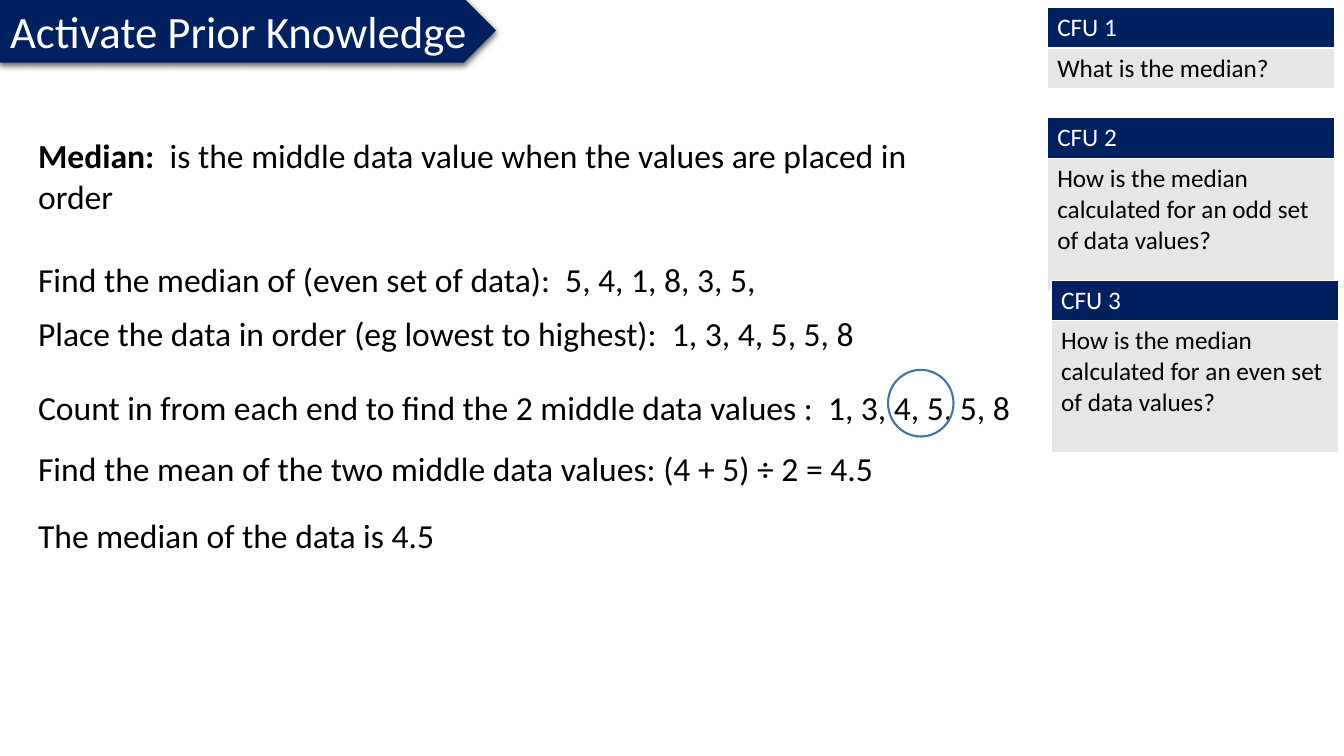
from dataclasses import dataclass

from lxml import etree
from pptx import Presentation
from pptx.dml.color import RGBColor
from pptx.enum.shapes import MSO_SHAPE
from pptx.enum.text import MSO_ANCHOR, MSO_AUTO_SIZE, PP_ALIGN
from pptx.oxml.ns import qn
from pptx.util import Cm, Pt

PENTAGON, OVAL = MSO_SHAPE.PENTAGON, MSO_SHAPE.OVAL
LEFT, MIDDLE = PP_ALIGN.LEFT, MSO_ANCHOR.MIDDLE
NO_FIT, GROW = MSO_AUTO_SIZE.NONE, MSO_AUTO_SIZE.SHAPE_TO_FIT_TEXT
TITLE_ONLY = 5


@dataclass(frozen=True)
class Theme:
    font: str = "Calibri"
    navy: RGBColor = RGBColor(0x00, 0x20, 0x60)
    grey: RGBColor = RGBColor(0xE7, 0xE6, 0xE6)
    ring: RGBColor = RGBColor(0x43, 0x73, 0x9E)
    white: RGBColor = RGBColor(0xFF, 0xFF, 0xFF)
    black: RGBColor = RGBColor(0x00, 0x00, 0x00)
    title_size: Pt = Pt(32)
    body_size: Pt = Pt(24)
    card_size: Pt = Pt(18)


THEME = Theme()


def add_run(p, text, size, color, bold=False):
    r = p.add_run()
    r.text = text
    r.font.name = THEME.font
    r.font.size = size
    r.font.color.rgb = color
    r.font.bold = bold


def add_shadow(sp):
    effects = etree.SubElement(sp._element.spPr, qn("a:effectLst"))
    shadow = etree.SubElement(
        effects, qn("a:outerShdw"), blurRad=str(Pt(4.5)), dist=str(Pt(1.5)),
        dir="5400000", rotWithShape="0")
    color = etree.SubElement(shadow, qn("a:srgbClr"), val=str(THEME.black))
    etree.SubElement(color, qn("a:alpha"), val="63000")


def add_title(s, text):
    title = s.shapes.title
    box = Cm(0), Cm(-0.05), Cm(12.5), Cm(1.63)
    banner = s.shapes.add_shape(PENTAGON, *box)
    banner.fill.solid()
    banner.fill.fore_color.rgb = THEME.navy
    banner.line.fill.background()
    add_shadow(banner)
    title._element.addprevious(banner._element)
    title.left, title.top, title.width, title.height = box
    tf = title.text_frame
    tf.word_wrap = False
    tf.auto_size = NO_FIT
    tf.vertical_anchor = MIDDLE
    p = tf.paragraphs[0]
    p.alignment = LEFT
    add_run(p, text, THEME.title_size, THEME.white)


def add_line(s, top, width, height, runs):
    sp = s.shapes.add_textbox(Cm(0.71), Cm(top), Cm(width), Cm(height))
    tf = sp.text_frame
    tf.word_wrap = True
    tf.auto_size = GROW
    for text, bold in runs:
        add_run(tf.paragraphs[0], text, THEME.body_size, THEME.black, bold)


def add_card(s, left, top, body_height, heading, question):
    heights = Cm(1), Cm(body_height)
    table = s.shapes.add_table(
        2, 1, Cm(left), Cm(top), Cm(7.24), sum(heights)).table
    table.horz_banding = False
    rows = ((heading, THEME.navy, THEME.white),
            (question, THEME.grey, THEME.black))
    for i, (text, fill, color) in enumerate(rows):
        table.rows[i].height = heights[i]
        cell = table.cell(i, 0)
        cell.fill.solid()
        cell.fill.fore_color.rgb = fill
        add_run(cell.text_frame.paragraphs[0], text, THEME.card_size, color)


def add_ring(s):
    sp = s.shapes.add_shape(OVAL, Cm(22.38), Cm(9.32), Cm(1.65), Cm(1.68))
    sp.shadow.inherit = False
    sp.fill.background()
    sp.line.color.rgb = THEME.ring
    sp.line.width = Pt(1.5)


def main():
    prs = Presentation()
    prs.slide_width, prs.slide_height = Cm(33.87), Cm(19.05)
    s = prs.slides.add_slide(prs.slide_layouts[TITLE_ONLY])
    add_title(s, "Activate Prior Knowledge")
    add_card(s, 26.39, 2.97, 3.32, "CFU 2",
             "How is the median calculated for an odd set of data values?")
    add_card(s, 26.39, 0.18, 1.03, "CFU 1", "What is the median?")

    narrow, wide = 24.18, 26.47
    add_line(s, 3.28, narrow, 2.31, [
        ("Median:  ", True),
        ("is the middle data value when the values are placed in order", False)])
    steps = (
        (6.4, narrow, "Find the median of (even set of data):  5, 4, 1, 8, 3, 5,"),
        (7.77, narrow,
         "Place the data in order (eg lowest to highest):  1, 3, 4, 5, 5, 8"),
        (9.63, wide,
         "Count in from each end to find the 2 middle data values :  1, 3, 4, 5, 5, 8"),
        (11.15, wide,
         "Find the mean of the two middle data values: (4 + 5) ÷ 2 = 4.5"),
        (12.85, wide, "The median of the data is 4.5"),
    )
    for top, width, text in steps:
        add_line(s, top, width, 1.27, [(text, False)])
    add_ring(s)
    add_card(s, 26.49, 7.06, 3.32, "CFU 3",
             "How is the median calculated for an even set of data values?")
    prs.save("out.pptx")


if __name__ == "__main__":
    main()
